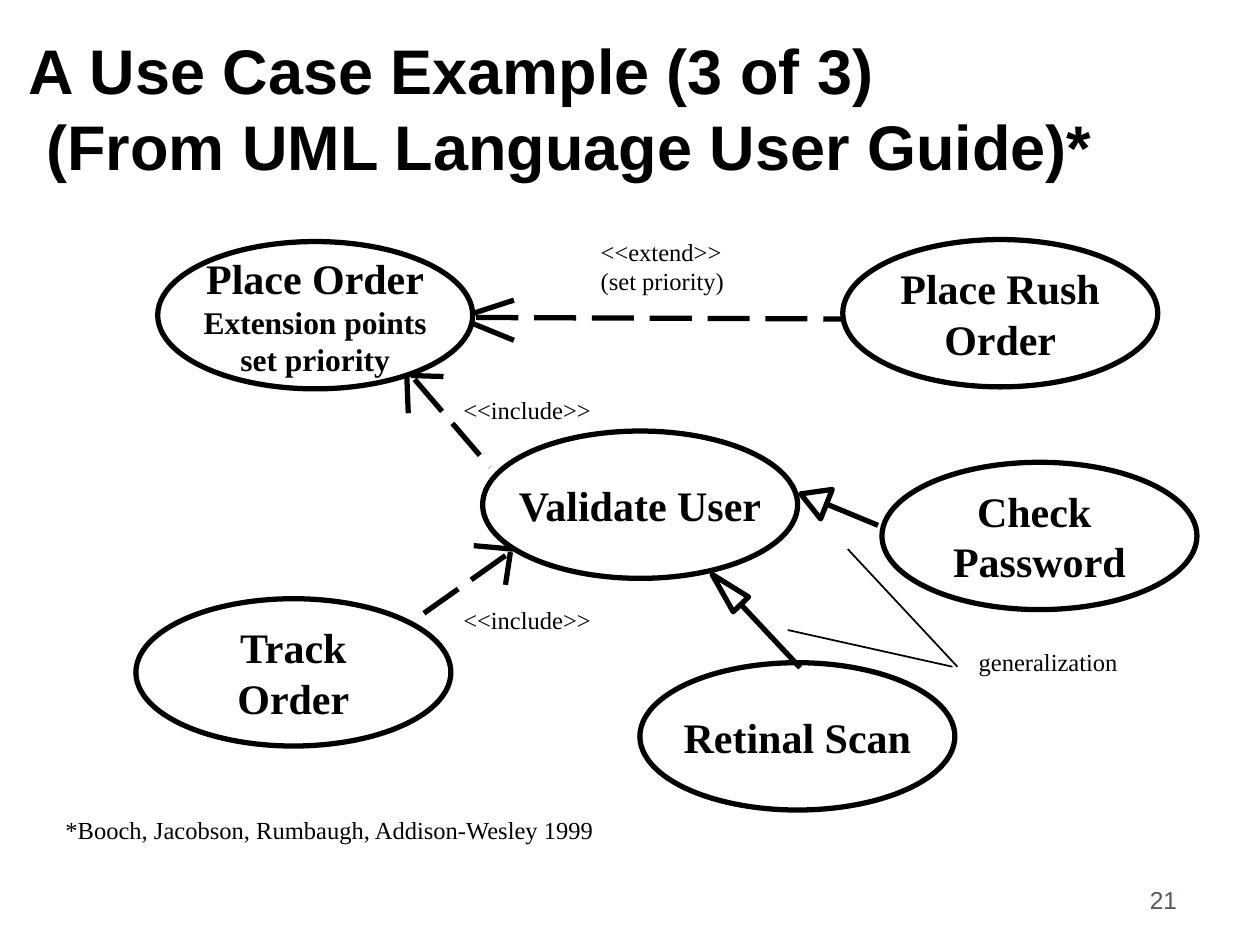
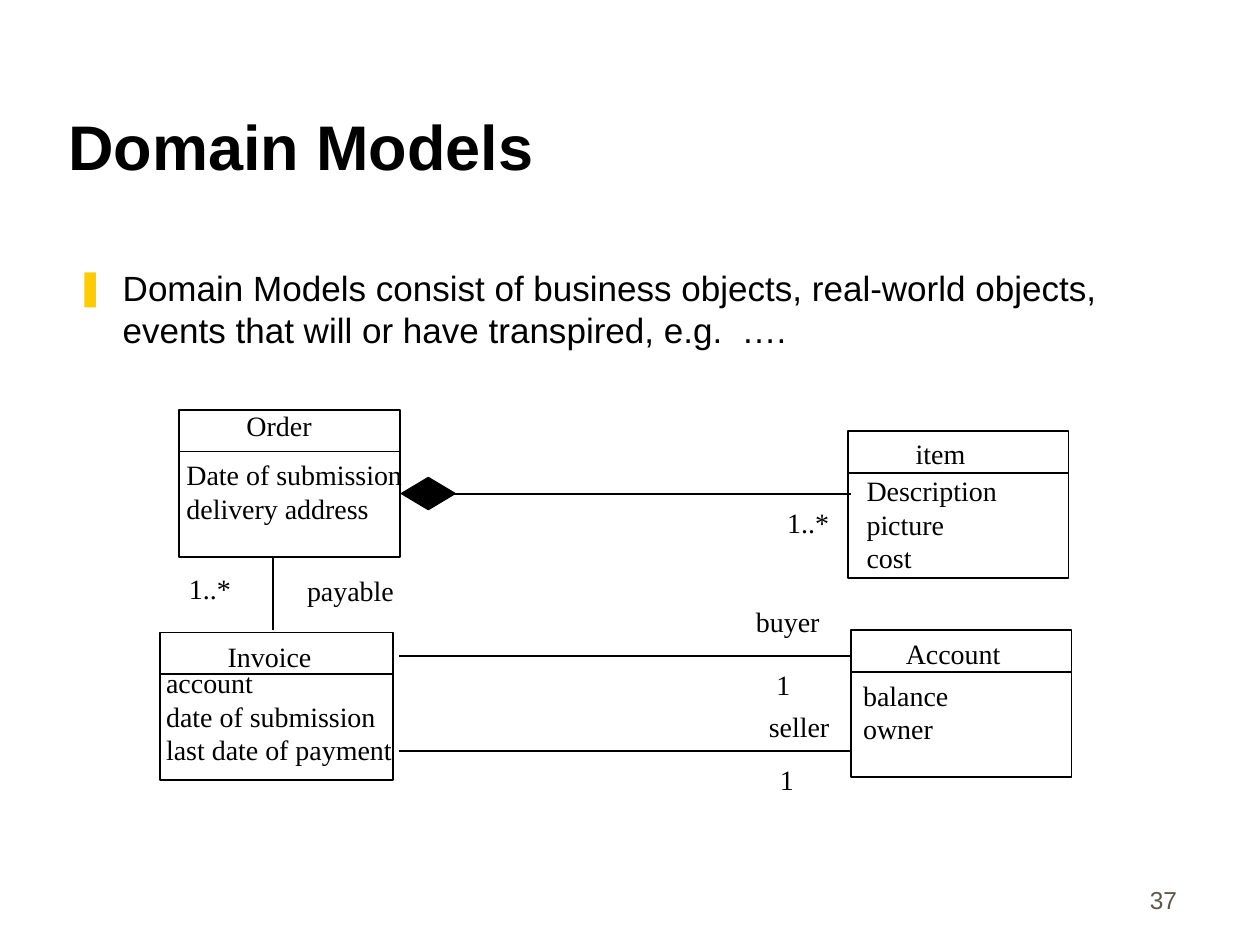
import copy
from dataclasses import dataclass

from lxml import etree
from pptx import Presentation
from pptx import util as u
from pptx.dml.color import RGBColor
from pptx.enum import dml, shapes, text
from pptx.oxml import ns


@dataclass(frozen=True)
class Theme:
    ink: RGBColor = RGBColor(0x00, 0x00, 0x00)
    number: RGBColor = RGBColor(0x5E, 0x57, 0x4E)
    bullet: str = "FFCC00"
    sans: str = "Arial"
    serif: str = "Times New Roman"
    title_size: int = 36
    body_size: int = 20
    use_case_size: int = 24
    extension_size: int = 18
    class_size: int = 16
    note_size: int = 14
    thick: int = 3
    thin: int = 1


THEME = Theme()


@dataclass(frozen=True)
class Label:
    """A text box; lengths here and below are in centimetres."""
    text: str
    left: float
    top: float
    width: float
    size: int = THEME.note_size


@dataclass(frozen=True)
class UseCase:
    name: str
    left: float
    top: float
    extension: str = ""


@dataclass(frozen=True)
class Stroke:
    start: tuple[float, float]
    end: tuple[float, float]
    weight: int = THEME.thick
    dashed: bool = False


@dataclass(frozen=True)
class Symbol:
    """A preset shape, unfilled unless solid."""
    kind: shapes.MSO_SHAPE
    left: float
    top: float
    width: float
    height: float
    rotation: float = 0
    weight: int = THEME.thick
    solid: bool = False


@dataclass(frozen=True)
class ClassBox:
    left: float
    top: float
    width: float
    name: Label
    attributes: Label


USE_CASE_WIDTH, USE_CASE_HEIGHT = 6.35, 2.97
CLASS_HEIGHT, CLASS_HEADER = 2.97, 0.84

USE_CASES = [
    UseCase("Validate User", 9.73, 8.69),
    UseCase("Track\nOrder", 2.74, 12.07),
    UseCase("Place Order", 3.18, 4.87, "Extension points\nset priority"),
    UseCase("Place Rush\nOrder", 16.99, 4.83),
    UseCase("Retinal Scan", 12.9, 13.36),
    UseCase("Check \nPassword", 17.78, 9.32),
]
GENERALIZATION_HEADS = [
    Symbol(shapes.MSO_SHAPE.ISOSCELES_TRIANGLE, 14.43, 11.46, 0.43, 0.84, 316.1),
    Symbol(shapes.MSO_SHAPE.ISOSCELES_TRIANGLE, 16.08, 9.78, 0.64, 0.56, 291.7),
]
USE_CASE_STROKES = [
    # generalizations
    Stroke((14.94, 12.19), (16.13, 13.46)),
    Stroke((16.66, 10.16), (17.7, 10.59)),
    # extend: shaft and open head
    Stroke((9.6, 6.4), (17.04, 6.43), dashed=True),
    Stroke((9.53, 6.32), (10.36, 6.05)),
    Stroke((9.55, 6.53), (10.36, 6.86)),
    # include, from Validate User to Place Order
    Stroke((8.36, 7.65), (9.88, 9.42), dashed=True),
    Stroke((8.28, 7.57), (8.94, 7.59)),
    Stroke((8.2, 7.54), (8.23, 8.33)),
    # include, from Track Order to Validate User
    Stroke((10.19, 11.2), (8.28, 12.55), dashed=True),
    Stroke((10.29, 11.13), (10.19, 11.79)),
    Stroke((10.34, 11.07), (9.55, 11.0)),
    # pointers to the word "generalization"
    Stroke((15.88, 12.7), (19.2, 13.44), THEME.thin),
    Stroke((17.09, 11.07), (19.3, 13.44), THEME.thin),
]
USE_CASE_LABELS = [
    Label("*Booch, Jacobson, Rumbaugh, Addison-Wesley 1999", 1.07, 16.31, 11.43),
    Label("<<include>>", 9.09, 12.07, 3.5),
    Label("<<include>>", 9.09, 7.83, 3.5),
    Label("<<extend>>\n(set priority)", 11.86, 4.65, 3.5),
    Label("generalization", 19.48, 12.91, 3.8),
]


def class_label(words: str, left: float, top: float, width: float) -> Label:
    return Label(words, left, top, width, THEME.class_size)


CLASS_BOXES = [
    ClassBox(3.61, 8.26, 4.45, class_label("Order", 4.72, 8.11, 2.3),
             class_label("Date of submission\ndelivery address", 3.51, 9.1, 5.4)),
    ClassBox(3.23, 12.75, 4.7, class_label("Invoice", 4.34, 12.76, 2.7),
             class_label("account\ndate of submission\nlast date of payment", 3.1, 13.29, 5.5)),
    ClassBox(17.15, 12.7, 4.45, class_label("Account", 18.01, 12.7, 2.9),
             class_label("balance\nowner", 17.15, 13.55, 2.7)),
    ClassBox(17.09, 8.69, 4.45, class_label("item", 18.21, 8.68, 2.0),
             class_label("Description\npicture\ncost", 17.22, 9.42, 3.6)),
]
COMPOSITION = Symbol(shapes.MSO_SHAPE.FLOWCHART_DECISION, 8.1, 9.63, 1.07, 0.64,
                     weight=THEME.thin, solid=True)
ASSOCIATIONS = [
    Stroke((8.69, 9.96), (17.15, 9.96), THEME.thin),
    Stroke((5.51, 11.23), (5.51, 12.7), THEME.thin),
    Stroke((8.05, 13.23), (17.15, 13.23), THEME.thin),
    Stroke((8.05, 15.14), (17.15, 15.14), THEME.thin),
]
ASSOCIATION_LABELS = [
    class_label("1..*", 3.56, 11.39, 1.8),
    class_label("1..*", 15.62, 10.06, 1.8),
    class_label("buyer", 14.99, 12.07, 2.2),
    class_label("seller", 15.25, 14.17, 2.2),
    class_label("1", 15.4, 13.34, 1.2),
    class_label("1", 15.47, 15.24, 1.2),
    class_label("payable", 5.94, 11.43, 2.7),
]


def format_runs(paragraph, size: int, font: str = THEME.serif,
                color: RGBColor = THEME.ink, bold: bool = False) -> None:
    for run in paragraph.runs:
        run.font.size = u.Pt(size)
        run.font.name = font
        run.font.bold = bold
        run.font.color.rgb = color


def place(shape, left: float, top: float, width: float, height: float) -> None:
    shape.left, shape.top = u.Cm(left), u.Cm(top)
    shape.width, shape.height = u.Cm(width), u.Cm(height)


def draw_label(slide, label: Label) -> None:
    lines = label.text.count("\n") + 1
    height = 0.25 + lines * u.Pt(label.size * 1.2).cm
    box = slide.shapes.add_textbox(u.Cm(label.left), u.Cm(label.top),
                                   u.Cm(label.width), u.Cm(height))
    frame = box.text_frame
    frame.text = label.text
    frame.word_wrap = True
    frame.auto_size = text.MSO_AUTO_SIZE.SHAPE_TO_FIT_TEXT
    for paragraph in frame.paragraphs:
        format_runs(paragraph, label.size)


def draw_symbol(slide, symbol: Symbol):
    shape = slide.shapes.add_shape(symbol.kind, u.Cm(symbol.left), u.Cm(symbol.top),
                                   u.Cm(symbol.width), u.Cm(symbol.height))
    shape.rotation = symbol.rotation
    shape.shadow.inherit = False
    if symbol.solid:
        shape.fill.solid()
        shape.fill.fore_color.rgb = THEME.ink
    else:
        shape.fill.background()
    shape.line.color.rgb = THEME.ink
    shape.line.width = u.Pt(symbol.weight)
    return shape


def draw_use_case(slide, use_case: UseCase) -> None:
    oval = draw_symbol(slide, Symbol(shapes.MSO_SHAPE.OVAL, use_case.left, use_case.top,
                                     USE_CASE_WIDTH, USE_CASE_HEIGHT))
    frame = oval.text_frame
    frame.text = "\n".join(filter(None, (use_case.name, use_case.extension)))
    frame.word_wrap = False
    frame.vertical_anchor = text.MSO_ANCHOR.MIDDLE
    name_lines = use_case.name.count("\n") + 1
    for index, paragraph in enumerate(frame.paragraphs):
        paragraph.alignment = text.PP_ALIGN.CENTER
        size = THEME.use_case_size if index < name_lines else THEME.extension_size
        format_runs(paragraph, size, bold=True)


def draw_stroke(slide, stroke: Stroke) -> None:
    ends = [u.Cm(value) for value in stroke.start + stroke.end]
    connector = slide.shapes.add_connector(shapes.MSO_CONNECTOR.STRAIGHT, *ends)
    connector.line.color.rgb = THEME.ink
    connector.line.width = u.Pt(stroke.weight)
    if stroke.dashed:
        connector.line.dash_style = dml.MSO_LINE.LONG_DASH
    etree.SubElement(connector.element.spPr, ns.qn("a:effectLst"))


def draw_class_box(slide, box: ClassBox) -> None:
    draw_symbol(slide, Symbol(shapes.MSO_SHAPE.RECTANGLE, box.left, box.top,
                              box.width, CLASS_HEIGHT, weight=THEME.thin))
    divider = box.top + CLASS_HEADER
    draw_stroke(slide, Stroke((box.left, divider), (box.left + box.width, divider), THEME.thin))
    draw_label(slide, box.name)
    draw_label(slide, box.attributes)


def add_slide(presentation, layout: int, title: str, left: float, width: float, number: str):
    """Add a slide with the shared title style and page number."""
    slide = presentation.slides.add_slide(presentation.slide_layouts[layout])
    place(slide.shapes.title, left, 0.64, width, 3.18)
    frame = slide.shapes.title.text_frame
    frame.text = title
    frame.auto_size = text.MSO_AUTO_SIZE.NONE
    frame.vertical_anchor = text.MSO_ANCHOR.BOTTOM
    paragraph = frame.paragraphs[0]
    paragraph.alignment = text.PP_ALIGN.LEFT
    format_runs(paragraph, THEME.title_size, THEME.sans, bold=True)
    for line_break in slide.shapes.title.element.iter(ns.qn("a:br")):
        line_break.append(copy.deepcopy(paragraph.runs[0].font._element))

    box = slide.shapes.add_textbox(u.Cm(18.7), u.Cm(17.29), u.Cm(5.28), u.Cm(1.27))
    box.text_frame.text = number
    box.text_frame.word_wrap = True
    box.text_frame.vertical_anchor = text.MSO_ANCHOR.BOTTOM
    box.text_frame.paragraphs[0].alignment = text.PP_ALIGN.RIGHT
    format_runs(box.text_frame.paragraphs[0], THEME.note_size, THEME.sans, THEME.number)
    return slide


def fill_body(body, words: str) -> None:
    place(body, 1.27, 5.24, 22.71, 11.58)
    frame = body.text_frame
    frame.text = words
    frame.auto_size = text.MSO_AUTO_SIZE.NONE
    paragraph = frame.paragraphs[0]
    properties = paragraph._p.get_or_add_pPr()
    properties.set("marL", str(u.Cm(0.95)))
    properties.set("indent", str(u.Cm(-0.95)))
    color = etree.SubElement(properties, ns.qn("a:buClr"))
    etree.SubElement(color, ns.qn("a:srgbClr"), val=THEME.bullet)
    etree.SubElement(properties, ns.qn("a:buChar"), char="❚")
    paragraph.space_before = u.Pt(0)
    format_runs(paragraph, THEME.body_size, THEME.sans)


def build_use_case_slide(presentation) -> None:
    slide = add_slide(presentation, 5,
                      "A Use Case Example (3 of 3)\v (From UML Language User Guide)*",
                      0.33, 24.33, "21")
    for use_case in USE_CASES:
        draw_use_case(slide, use_case)
    for head in GENERALIZATION_HEADS:
        draw_symbol(slide, head)
    for stroke in USE_CASE_STROKES:
        draw_stroke(slide, stroke)
    for label in USE_CASE_LABELS:
        draw_label(slide, label)


def build_domain_model_slide(presentation) -> None:
    slide = add_slide(presentation, 1, "Domain Models", 1.12, 21.59, "37")
    fill_body(slide.placeholders[1],
              "Domain Models consist of business objects, real-world objects, "
              "events that will or have transpired, e.g.  ….")
    draw_symbol(slide, COMPOSITION)
    for association in ASSOCIATIONS:
        draw_stroke(slide, association)
    for box in CLASS_BOXES:
        draw_class_box(slide, box)
    for label in ASSOCIATION_LABELS:
        draw_label(slide, label)


def main() -> None:
    presentation = Presentation()
    presentation.slide_width, presentation.slide_height = u.Cm(25.4), u.Cm(19.05)
    build_use_case_slide(presentation)
    build_domain_model_slide(presentation)
    presentation.save("out.pptx")


if __name__ == "__main__":
    main()
